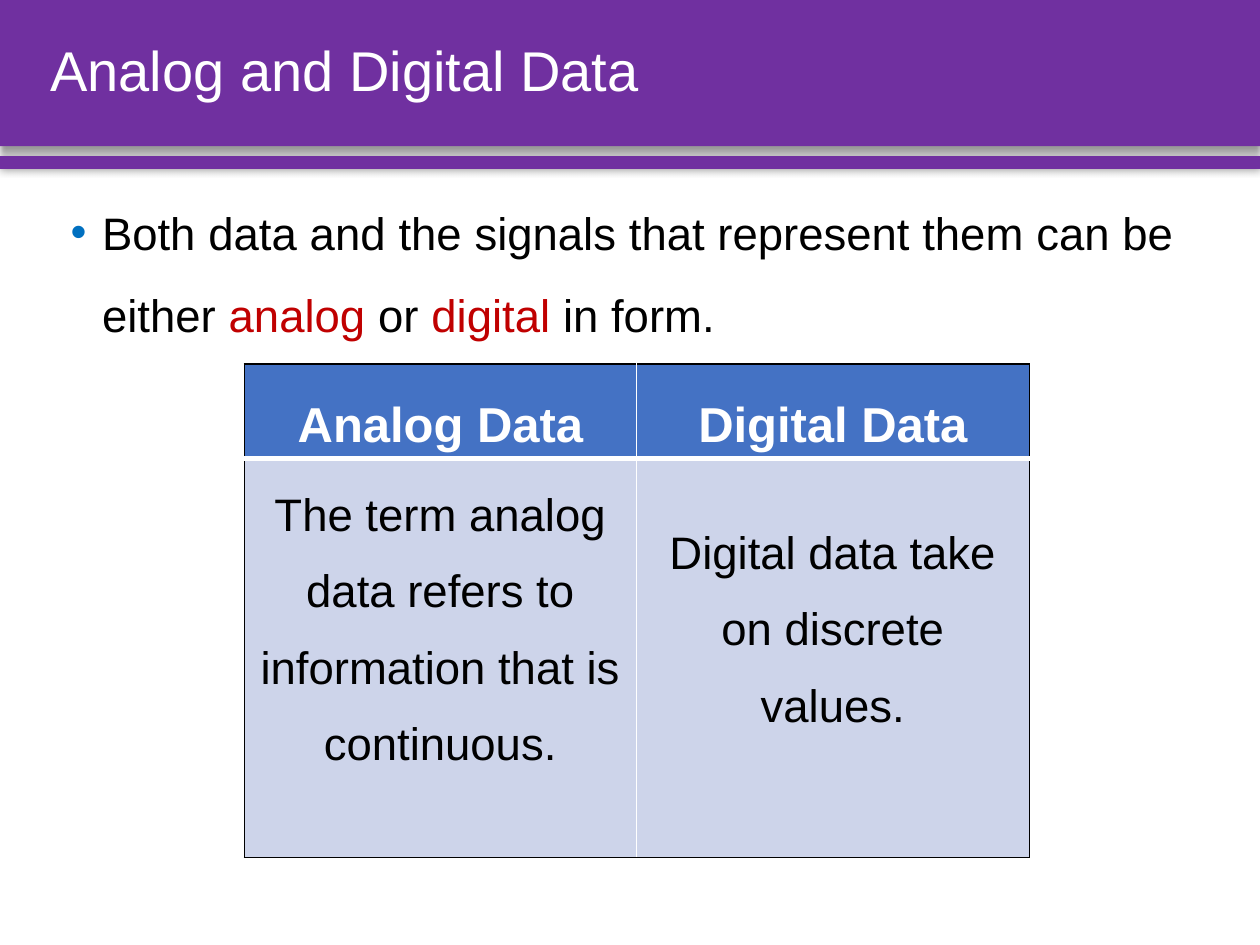
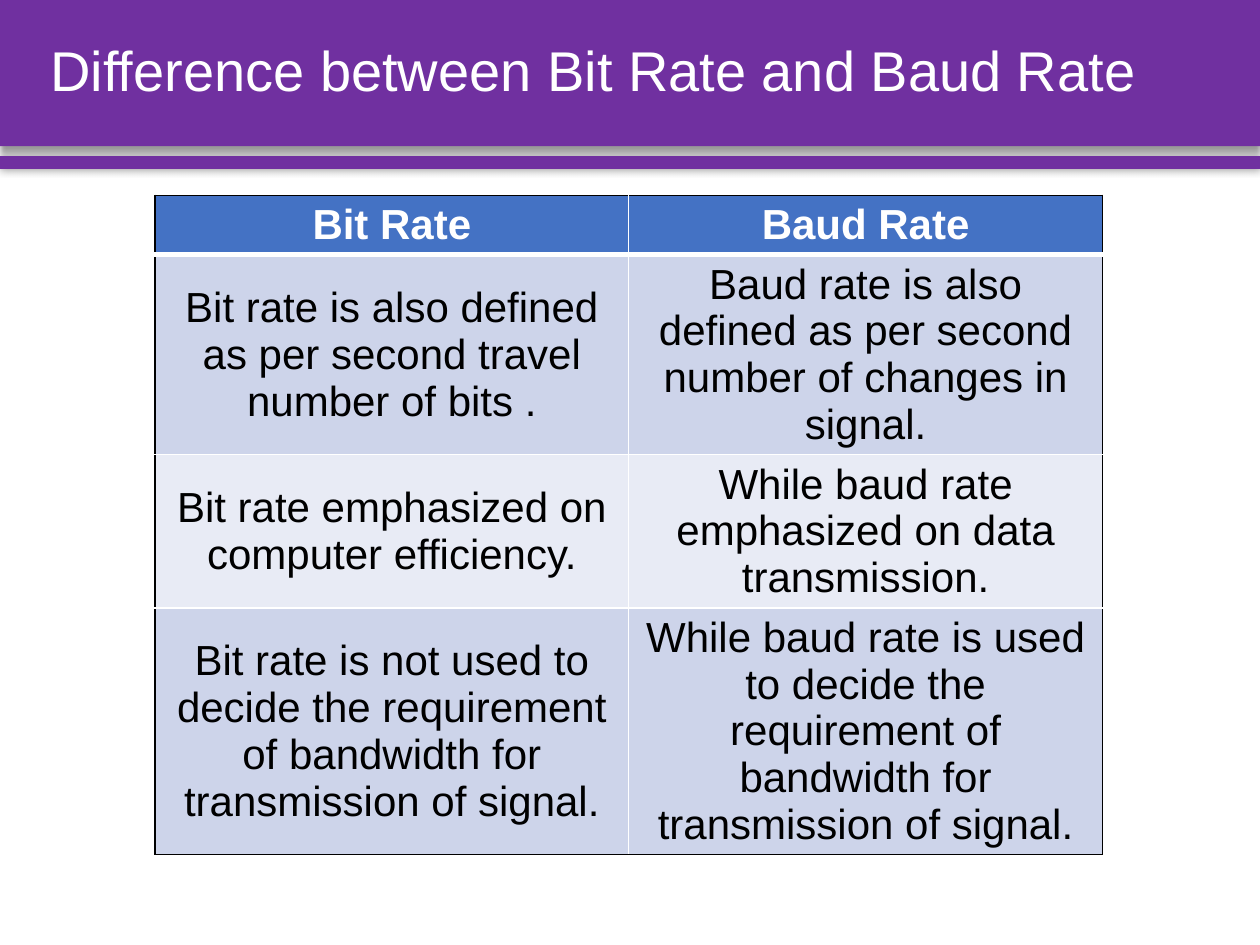
import dataclasses

import lxml.etree
import pptx
import pptx.dml.color
import pptx.enum.shapes
import pptx.enum.text
import pptx.oxml.ns
import pptx.util

Pt = pptx.util.Pt
qn = pptx.oxml.ns.qn
ALIGN = pptx.enum.text.PP_ALIGN
MIDDLE = pptx.enum.text.MSO_ANCHOR.MIDDLE


@dataclasses.dataclass(frozen=True)
class Theme:
    font: str = "Arial"
    purple: str = "7030A0"
    white: str = "FFFFFF"
    black: str = "000000"
    accent: str = "C00000"
    bullet: str = "0070C0"
    header: str = "4472C4"
    stripes: tuple = ("CDD4EA", "E8EBF5")
    title_size: int = 32
    heading_size: int = 28
    body_size: int = 26
    compact_size: int = 24


THEME = Theme()


def style(paragraph, size, color, align, spacing=1.0, bold=False):
    paragraph.alignment = align
    paragraph.line_spacing = spacing
    paragraph.space_before = Pt(0)
    paragraph.font.name = THEME.font
    paragraph.font.size = Pt(size)
    paragraph.font.bold = bold
    paragraph.font.color.rgb = pptx.dml.color.RGBColor.from_string(color)


def add_comparison(slide, rows, left, top, column_widths, row_heights,
                   sizes, spacing, body_bottom):
    """Two-column table: black outline, white inner rules, striped body."""
    table = slide.shapes.add_table(
        len(rows), len(column_widths), Pt(left), Pt(top),
        Pt(sum(column_widths)), Pt(sum(row_heights))).table
    table.horz_banding = False
    for column, width in zip(table.columns, column_widths):
        column.width = Pt(width)
    last_row, last_column = len(rows) - 1, len(column_widths) - 1
    for r, texts in enumerate(rows):
        table.rows[r].height = Pt(row_heights[r])
        is_header = r == 0
        for c, text in enumerate(texts):
            cell = table.cell(r, c)
            cell.text = text
            cell.vertical_anchor = MIDDLE
            cell.margin_bottom = Pt(3.6 if is_header else body_bottom)
            style(cell.text_frame.paragraphs[0], sizes[0 if is_header else 1],
                  THEME.white if is_header else THEME.black,
                  ALIGN.CENTER, spacing, is_header)
            fill = THEME.header if is_header else THEME.stripes[(r - 1) % 2]
            cell.fill.solid()
            cell.fill.fore_color.rgb = pptx.dml.color.RGBColor.from_string(fill)

            # Borders come before the fill in the cell properties
            outer = {"lnL": c == 0, "lnR": c == last_column,
                     "lnT": r == 0, "lnB": r == last_row}
            for position, (side, is_outer) in enumerate(outer.items()):
                width = 3 if is_header and side == "lnB" else 1
                border = lxml.etree.Element(qn(f"a:{side}"), w=str(Pt(width)))
                solid = lxml.etree.SubElement(border, qn("a:solidFill"))
                lxml.etree.SubElement(solid, qn("a:srgbClr"),
                                      val=THEME.black if is_outer else THEME.white)
                cell._tc.tcPr.insert(position, border)


presentation = pptx.Presentation()
presentation.slide_width, presentation.slide_height = Pt(720), Pt(540)
master = presentation.slide_master
data_slide = presentation.slides.add_slide(presentation.slide_layouts[1])
rate_slide = presentation.slides.add_slide(presentation.slide_layouts[5])

# Shared bands, moved to the back of the slide master
bands = [  # top, height, shadow blur, shadow distance, shadow angle
    (0, 83.52, 4, 3, 90),
    (89.28, 7.2, 5, 0, 0),
]
for i, (top, height, blur, distance, angle) in enumerate(bands):
    band = data_slide.shapes.add_shape(
        pptx.enum.shapes.MSO_SHAPE.RECTANGLE, Pt(0), Pt(top), Pt(720), Pt(height))
    band.fill.solid()
    band.fill.fore_color.rgb = pptx.dml.color.RGBColor.from_string(THEME.purple)
    band.line.fill.background()
    band.shadow.inherit = False
    shadow = lxml.etree.SubElement(
        band.element.spPr.find(qn("a:effectLst")), qn("a:outerShdw"),
        blurRad=str(Pt(blur)), dist=str(Pt(distance)), dir=str(angle * 60000),
        rotWithShape="0")
    shade = lxml.etree.SubElement(shadow, qn("a:srgbClr"), val=THEME.black)
    lxml.etree.SubElement(shade, qn("a:alpha"), val="40000")
    band.element.nvSpPr.cNvPr.set("id", str(20 + i))
    master.shapes.element.insert(2 + i, band.element)

# Titles
for slide, heading in [
    (data_slide, "Analog and Digital Data"),
    (rate_slide, "Difference between Bit Rate and Baud Rate"),
]:
    title = slide.shapes.title
    title.left, title.top, title.width, title.height = (
        Pt(21.6), Pt(0), Pt(681.12), Pt(83.52))
    title.text = heading
    title.text_frame.auto_size = pptx.enum.text.MSO_AUTO_SIZE.NONE
    title.text_frame.vertical_anchor = MIDDLE
    style(title.text_frame.paragraphs[0], THEME.title_size, THEME.white,
          ALIGN.LEFT, 0.9)

# Slide 1: statement with highlighted terms
statement = data_slide.placeholders[1]
statement.left, statement.top, statement.width, statement.height = (
    Pt(33.12), Pt(97.92), Pt(645.84), Pt(110.16))
statement.text_frame.auto_size = pptx.enum.text.MSO_AUTO_SIZE.NONE
sentence = statement.text_frame.paragraphs[0]
properties = sentence._p.get_or_add_pPr()
properties.set("marL", str(Pt(18)))
properties.set("indent", str(Pt(-18)))
bullet_color = lxml.etree.SubElement(properties, qn("a:buClr"))
lxml.etree.SubElement(bullet_color, qn("a:srgbClr"), val=THEME.bullet)
lxml.etree.SubElement(properties, qn("a:buFont"), typeface=THEME.font)
lxml.etree.SubElement(properties, qn("a:buChar"), char="•")
style(sentence, THEME.body_size, THEME.black, ALIGN.JUSTIFY, 1.5)
for words, color in [
    ("Both data and the signals that represent them can be either ", THEME.black),
    ("analog ", THEME.accent),
    ("or ", THEME.black),
    ("digital ", THEME.accent),
    ("in form.", THEME.black),
]:
    phrase = sentence.add_run()
    phrase.text = words
    phrase.font.color.rgb = pptx.dml.color.RGBColor.from_string(color)

# Slide 1: analog and digital data
add_comparison(
    data_slide,
    [("Analog Data", "Digital Data"),
     ("The term analog data refers to information that is continuous.",
      "Digital data take on discrete values.")],
    left=139.68, top=208.08, column_widths=(223.92, 224.64),
    row_heights=(48.96, 227.52),
    sizes=(THEME.heading_size, THEME.body_size), spacing=1.5, body_bottom=50)

# Slide 2: bit rate and baud rate
add_comparison(
    rate_slide,
    [("Bit Rate", "Baud Rate"),
     ("Bit rate is also defined as per second travel number of bits .",
      "Baud rate is also defined as per second number of changes in signal."),
     ("Bit rate emphasized on computer efficiency.",
      "While baud rate emphasized on data transmission."),
     ("Bit rate is not used to decide the requirement of bandwidth for "
      "transmission of signal.",
      "While baud rate is used to decide the requirement of bandwidth for "
      "transmission of signal.")],
    left=88.56, top=111.6, column_widths=(270.72, 270.72),
    row_heights=(33, 114, 87, 141),
    sizes=(THEME.compact_size, THEME.compact_size), spacing=1.0, body_bottom=3.6)

presentation.save("out.pptx")
